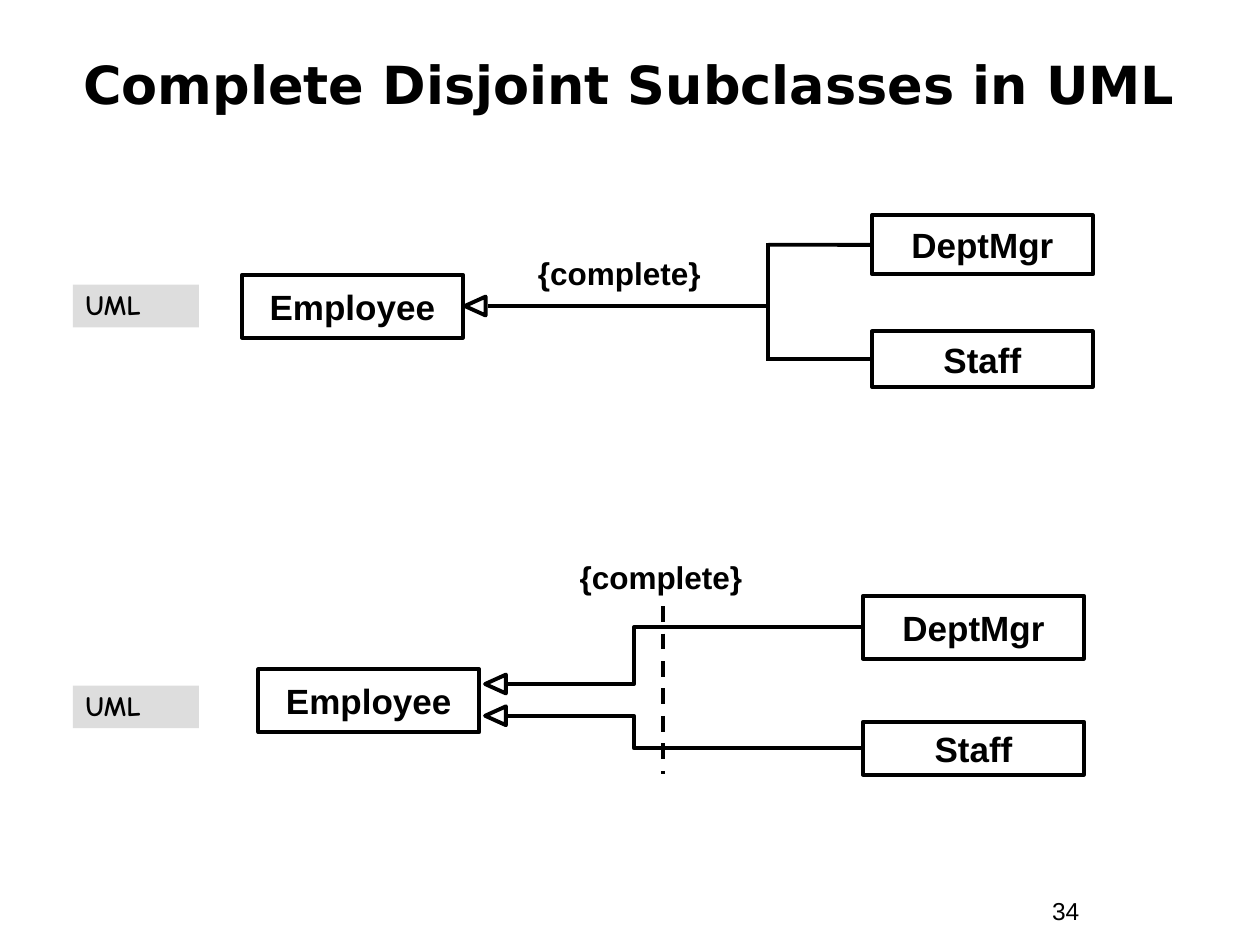
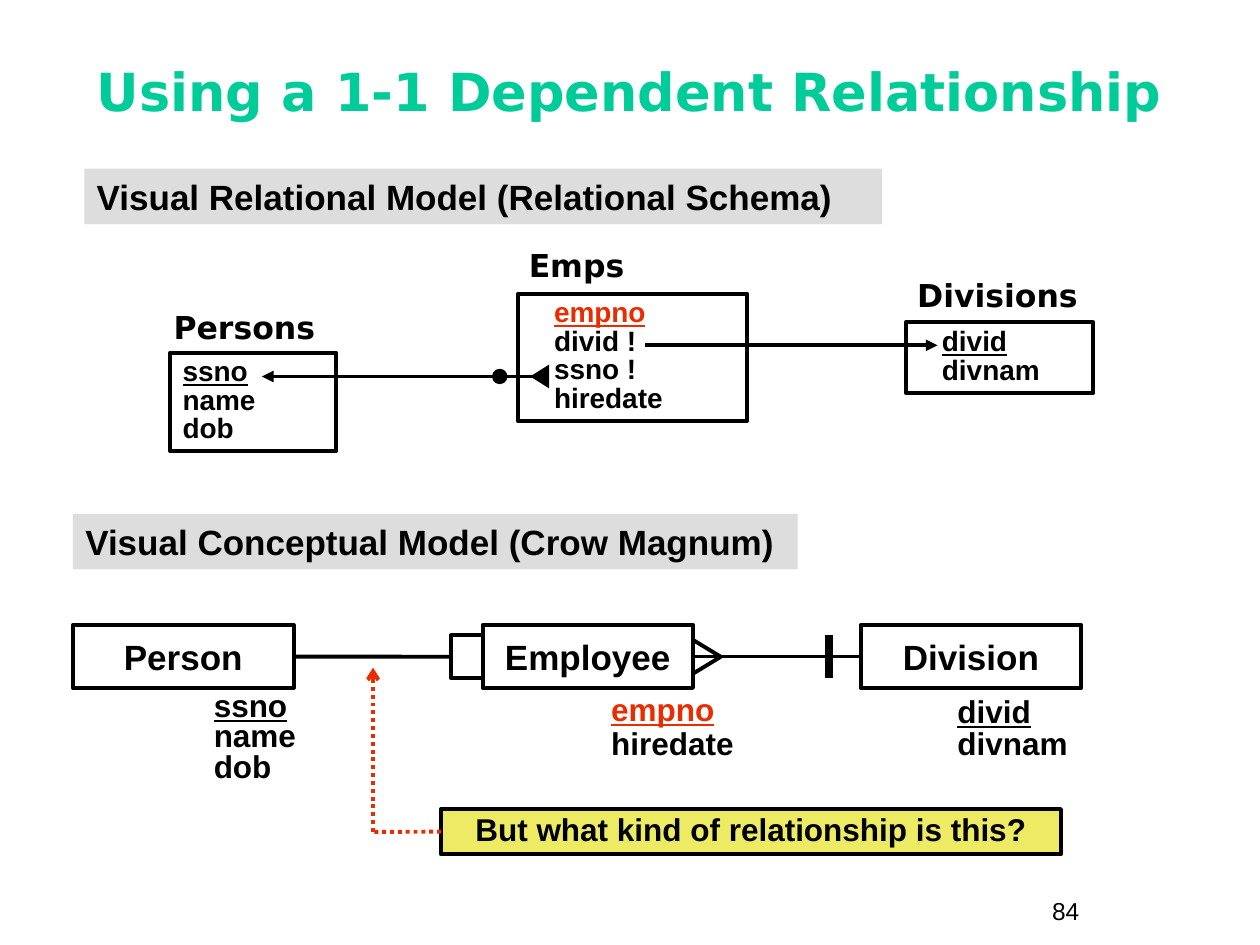
"""Builds two slides on UML subclasses and 1-1 dependent relationships."""
from dataclasses import dataclass

from pptx import Presentation
from pptx.dml.color import RGBColor
from pptx.enum.dml import MSO_LINE
from pptx.enum.shapes import MSO_CONNECTOR, MSO_SHAPE
from pptx.enum.text import MSO_ANCHOR, PP_ALIGN
from pptx.oxml.ns import qn
from pptx.oxml.xmlchemy import OxmlElement
from pptx.util import Cm, Pt

LEFT, CENTER = PP_ALIGN.LEFT, PP_ALIGN.CENTER
TOP, MIDDLE = MSO_ANCHOR.TOP, MSO_ANCHOR.MIDDLE
RECT, OVAL = MSO_SHAPE.RECTANGLE, MSO_SHAPE.OVAL
STRAIGHT, ELBOW = MSO_CONNECTOR.STRAIGHT, MSO_CONNECTOR.ELBOW
DASH, DOT = MSO_LINE.DASH, MSO_LINE.ROUND_DOT
LEFT_SIDE, RIGHT_SIDE = 1, 3


@dataclass(frozen=True)
class Theme:
    """Colours, fonts and type sizes."""

    ink: str = "000000"
    green: str = "00CC99"
    red: str = "EA2D00"
    gray: str = "DDDDDD"
    yellow: str = "EDEA63"
    body: str = "Arial"
    display: str = "DejaVu Sans"
    hand: str = "Comic Neue"
    title_size: int = 30
    class_size: int = 20
    label_size: int = 18
    field_size: int = 16
    number_size: int = 14
    stroke: float = 2.25


class Deck:
    """Holds the theme, the presentation and the current slide."""

    def __init__(self, theme):
        self.t = theme
        self.prs = Presentation()
        self.prs.slide_width, self.prs.slide_height = Cm(25.4), Cm(19.05)

    def slide(self, title, number, top, color):
        """Start a slide with its title and page number."""
        self.s = self.prs.slides.add_slide(self.prs.slide_layouts[6])
        self.text(title, 0.84, top, 23.7, 1.7, self.t.title_size, font=self.t.display,
                  color=color, align=CENTER, anchor=MIDDLE)
        self.text(number, 20.96, 17.93, 2.34, 0.86, self.t.number_size, bold=False)

    def set_text(self, sp, lines, size, font=None, color=None, bold=True, align=LEFT,
                 anchor=TOP, spacing=1.0, key=None, indent=0):
        """Fill a shape with lines; a key colour underlines the first one."""
        tf = sp.text_frame
        tf.word_wrap = True
        tf.vertical_anchor = anchor
        tf.margin_left, tf.margin_right = Cm(0.25 + indent), Cm(0.25)
        tf.margin_top = tf.margin_bottom = Cm(0.13)
        for i, line in enumerate(lines.split("\n")):
            p = tf.paragraphs[0] if i == 0 else tf.add_paragraph()
            p.text, p.alignment, p.line_spacing = line, align, spacing
            is_key = bool(key) and i == 0
            f = p.font
            f.name, f.size, f.bold = font or self.t.body, Pt(size), bold
            f.underline = is_key
            f.color.rgb = RGBColor.from_string(key if is_key else color or self.t.ink)

    def text(self, lines, x, y, w, h, size, **style):
        """Add a text box."""
        sp = self.s.shapes.add_textbox(Cm(x), Cm(y), Cm(w), Cm(h))
        self.set_text(sp, lines, size, **style)

    def paint(self, sp, fill, outlined):
        """Set fill and outline, and drop the shadow."""
        sp.shadow.inherit = False
        if fill:
            sp.fill.solid()
            sp.fill.fore_color.rgb = RGBColor.from_string(fill)
        else:
            sp.fill.background()
        if outlined:
            sp.line.color.rgb = RGBColor.from_string(self.t.ink)
            sp.line.width = Pt(self.t.stroke)
        else:
            sp.line.fill.background()
        return sp

    def shape(self, x, y, w, h, fill=None, outlined=True, kind=RECT):
        """Add a preset shape."""
        sp = self.s.shapes.add_shape(kind, Cm(x), Cm(y), Cm(w), Cm(h))
        return self.paint(sp, fill, outlined)

    def class_box(self, name, x, y, w=4.45, h=1.27):
        """Add a named class rectangle."""
        sp = self.shape(x, y, w, h)
        self.set_text(sp, name, self.t.class_size, align=CENTER, anchor=MIDDLE)
        return sp

    def banner(self, words, x, y, w):
        """Add a gray section heading."""
        sp = self.shape(x, y, w, 1.12, self.t.gray, outlined=False)
        self.set_text(sp, words, self.t.class_size, anchor=MIDDLE)

    def badge(self, words, y):
        """Add a gray notation tag at the left margin."""
        sp = self.shape(1.47, y, 2.54, 0.86, self.t.gray, outlined=False)
        self.set_text(sp, words, self.t.field_size, font=self.t.hand, spacing=0.9)

    def constraint(self, words, x, y):
        """Add a constraint label."""
        self.text(words, x, y, 4.65, 0.91, self.t.label_size, align=CENTER, spacing=0.85)

    def table_box(self, name, name_at, fields, box, key, indent=0):
        """Add a relational table: its name above a box of fields."""
        self.text(name, *name_at, 5.46, 0.86, self.t.label_size,
                  font=self.t.display, spacing=0.8)
        self.set_text(self.shape(*box), fields, self.t.field_size, spacing=0.85,
                      key=key, indent=indent)

    def attributes(self, fields, x, y, w, h, key, spacing):
        """Add the attribute list below a class."""
        self.text(fields, x, y, w, h, self.t.label_size, key=key, spacing=spacing)

    def line(self, x1, y1, x2, y2, begin=None, end=None, color=None, width=None,
             dash=None, tail=None, bend=None):
        """Add a connector; bend is the elbow's place as a share of its width."""
        c = self.s.shapes.add_connector(STRAIGHT if bend is None else ELBOW,
                                        Cm(x1), Cm(y1), Cm(x2), Cm(y2))
        if begin:
            c.begin_connect(begin, LEFT_SIDE if x2 < x1 else RIGHT_SIDE)
        if end:
            c.end_connect(end, LEFT_SIDE if x1 < x2 else RIGHT_SIDE)
        c.line.color.rgb = RGBColor.from_string(color or self.t.ink)
        c.line.width = Pt(width or self.t.stroke)
        if dash:
            c.line.dash_style = dash
        sp_pr = c.element.spPr
        if tail:
            mark = OxmlElement("a:tailEnd")
            mark.set("type", tail)
            sp_pr.find(qn("a:ln")).append(mark)
        if bend is not None:
            guide = OxmlElement("a:gd")
            guide.set("name", "adj1")
            guide.set("fmla", f"val {round(bend * 100000)}")
            sp_pr.find(qn("a:prstGeom")).get_or_add_avLst().append(guide)
        sp_pr.append(OxmlElement("a:effectLst"))

    def arrowhead(self, tip, y, w=0.42, h=0.38, fill=None):
        """Add a triangle pointing left, hollow unless filled."""
        base = Cm(tip + w)
        fb = self.s.shapes.build_freeform(Cm(tip), Cm(y))
        fb.add_line_segments([(base, Cm(y - h / 2)), (base, Cm(y + h / 2))], close=True)
        self.paint(fb.convert_to_shape(), fill, outlined=not fill)


def subclasses(d):
    """Draw the two UML notations for complete disjoint subclasses."""
    d.slide("Complete Disjoint Subclasses in UML", "34", 0.84, d.t.ink)

    d.badge("UML", 5.74)
    d.class_box("Employee", 4.88, 5.54)
    trunk, middle = 15.49, 6.17
    branches = []
    for name, y, h in (("DeptMgr", 4.34, 1.19), ("Staff", 6.68, 1.12)):
        box = d.class_box(name, 17.58, y, h=h)
        branches.append(y + h / 2)
        d.line(trunk, branches[-1], 17.58, branches[-1], end=box)
    d.line(trunk, branches[0] - 0.04, trunk, branches[1] + 0.04)
    d.line(9.83, middle, trunk, middle)
    d.arrowhead(9.37, middle)
    d.constraint("{complete}", 10.16, 5.11)

    d.badge("UML", 13.82)
    d.class_box("Employee", 5.21, 13.49)
    for name, y, h, arrow_y in (("DeptMgr", 12.01, 1.27, 13.79), ("Staff", 14.55, 1.07, 14.43)):
        d.class_box(name, 17.4, y, h=h)
        d.line(10.24, arrow_y, 17.4, y + h / 2, bend=0.355)
        d.arrowhead(9.78, arrow_y)
    d.line(13.36, 12.22, 13.36, 15.6, dash=DASH)
    d.constraint("{complete}", 11, 11.23)


def dependent_relationship(d):
    """Draw the relational schema and the conceptual model."""
    ink, red = d.t.ink, d.t.red
    d.slide("Using a 1-1 Dependent Relationship", "84", 0.98, d.t.green)

    d.banner("Visual Relational Model (Relational Schema)", 1.7, 3.4, 16.08)
    d.table_box("Persons", (3.25, 6.22), "ssno\nname\ndob", (3.43, 7.11, 3.35, 1.98), ink)
    d.table_box("Emps", (10.41, 4.98), "empno\ndivid !\nssno !\nhiredate",
                (10.44, 5.92, 4.62, 2.57), red, indent=0.48)
    d.table_box("Divisions", (18.24, 5.59), "divid\ndivnam",
                (18.26, 6.5, 3.78, 1.42), ink, indent=0.48)
    ssno_y, divid_y, dot = 7.59, 6.96, 0.23
    d.line(11, ssno_y, 5.28, ssno_y, tail="triangle")
    d.line(13, divid_y, 18.9, divid_y, tail="triangle")
    d.shape(9.96, ssno_y - dot / 2, dot, dot, ink, kind=OVAL)
    d.arrowhead(10.69, ssno_y, 0.38, 0.48, fill=ink)

    d.banner("Visual Conceptual Model (Crow Magnum)", 1.47, 10.36, 14.61)
    top, axis = 12.6, 13.24
    person = d.class_box("Person", 1.47, top)
    employee = d.class_box("Employee", 9.73, top, w=4.24)
    division = d.class_box("Division", 17.35, top)
    role = d.shape(9.09, axis - 0.43, 0.64, 0.86)
    d.line(5.92, axis, 9.09, axis, begin=person, end=role)
    d.line(13.97, axis, 17.35, axis, begin=employee, end=division)
    for toe in (-0.34, 0.34):
        d.line(14.53, axis, 13.97, axis + toe)
    d.line(16.71, axis - 0.43, 16.71, axis + 0.43, width=2 * d.t.stroke)
    d.attributes("ssno\nname\ndob", 4.06, 13.85, 2.74, 2.08, ink, 0.8)
    d.attributes("empno\nhiredate", 12.07, 13.87, 3.61, 1.63, red, 0.9)
    d.attributes("divid\ndivnam", 19.05, 13.94, 4.45, 1.55, ink, 0.85)

    callout = d.shape(8.89, 16.31, 12.5, 0.91, d.t.yellow)
    d.set_text(callout, "But what kind of relationship is this?", d.t.label_size,
               align=CENTER, anchor=MIDDLE, spacing=0.85)
    corner_x, corner_y = 7.52, 16.77
    d.line(8.89, corner_y, corner_x, corner_y, begin=callout, color=red, dash=DOT)
    d.line(corner_x, corner_y, corner_x, 13.46, color=red, dash=DOT, tail="arrow")


def main():
    """Build and save the deck."""
    d = Deck(Theme())
    subclasses(d)
    dependent_relationship(d)
    d.prs.save("out.pptx")


if __name__ == "__main__":
    main()
